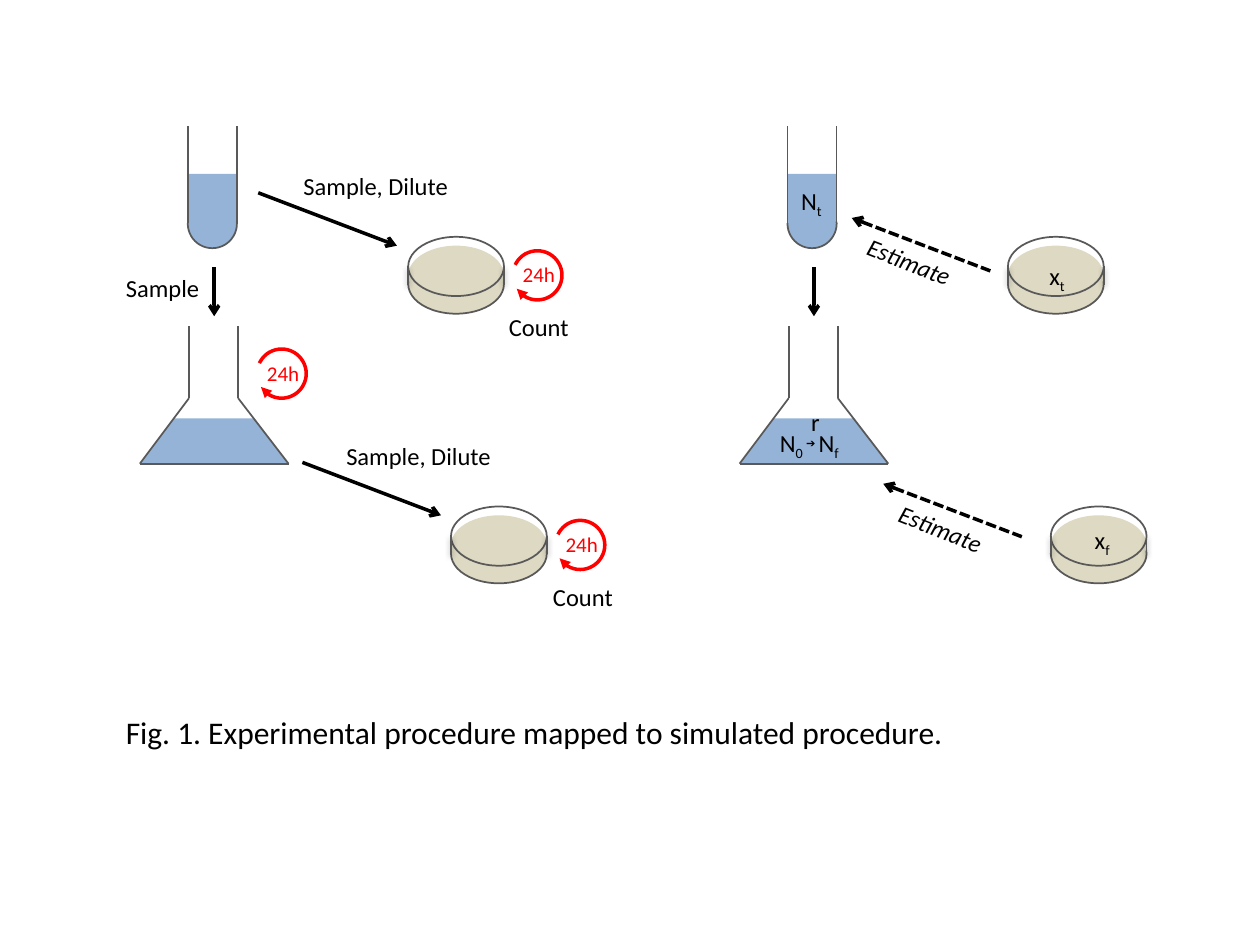
"""Draw a culture experiment beside its simulated counterpart."""
from lxml.etree import SubElement
from pptx import Presentation
from pptx.dml.color import RGBColor
from pptx.enum.dml import MSO_LINE
from pptx.enum.shapes import MSO_CONNECTOR, MSO_SHAPE
from pptx.enum.text import MSO_AUTO_SIZE
from pptx.oxml.ns import qn
from pptx.util import Inches, Pt

BLACK = RGBColor(0x00, 0x00, 0x00)
GREY = RGBColor(0x59, 0x59, 0x59)
BLUE = RGBColor(0x95, 0xB3, 0xD7)
AGAR = RGBColor(0xDD, 0xD9, 0xC3)
RED = RGBColor(0xFF, 0x00, 0x00)

deck = Presentation()
deck.slide_width, deck.slide_height = Inches(10), Inches(7.5)
COL, ROW = deck.slide_width / 10, deck.slide_height / 7.5
slide = deck.slides.add_slide(deck.slide_layouts[6])
page = slide.shapes

SHIFT = 4.76
STEP = (0.34, 2.14)
BORE = 0.39
DISH = (0.76, 0.47)


def draw(home, kind, box, fill=None, edge=None, width=1, turns=()):
    x, y, w, h = box
    shape = home.add_shape(kind, int(x * COL), int(y * ROW), int(w * COL), int(h * ROW))
    shape.shadow.inherit = False
    for part, color in ((shape.fill, fill), (shape.line.fill, edge)):
        if color is None:
            part.background()
        else:
            part.solid()
            part.fore_color.rgb = color
    if edge is not None:
        shape.line.width = Pt(width)
    for spot, turn in enumerate(turns):
        shape.adjustments[spot] = turn
    return shape


def link(home, start, end, color=GREY, width=1, tip=None, dash=None, glow=False):
    line = home.add_connector(
        MSO_CONNECTOR.STRAIGHT,
        int(start[0] * COL), int(start[1] * ROW), int(end[0] * COL), int(end[1] * ROW))
    line.line.color.rgb = color
    line.line.width = Pt(width)
    if dash:
        line.line.dash_style = dash
    if tip:
        SubElement(line.line._get_or_add_ln(), qn(tip), type="arrow")
    fx = SubElement(line._element.spPr, qn("a:effectLst"))
    if glow:
        cast = SubElement(fx, qn("a:outerShdw"), blurRad="40000", dist="20000",
                          dir="5400000", rotWithShape="0")
        tint = SubElement(cast, qn("a:srgbClr"), val="000000")
        SubElement(tint, qn("a:alpha"), val="38000")


for dx in (0, SHIFT):
    tube = page.add_group_shape().shapes
    left, right = 1.49 + dx, 1.88 + dx
    bulb = (left, 1.58, BORE, BORE)
    draw(tube, MSO_SHAPE.OVAL, bulb, BLUE)
    draw(tube, MSO_SHAPE.RECTANGLE, (left, 1.38, BORE, BORE), BLUE)
    draw(tube, MSO_SHAPE.ARC, bulb, edge=GREY, turns=(213.245, 108.688))
    for x in (left, right):
        link(tube, (x, 1.77), (x, 1))

    for step in (0, 1):
        dish = page.add_group_shape().shapes
        x, y = 3.24 + dx + step * STEP[0], 1.88 + step * STEP[1]
        draw(dish, MSO_SHAPE.OVAL, (x, y + 0.14, *DISH), AGAR, GREY)
        draw(dish, MSO_SHAPE.OVAL, (x, y + 0.07, *DISH), AGAR)
        draw(dish, MSO_SHAPE.OVAL, (x, y, *DISH), edge=GREY)
        for side in (x, x + DISH[0]):
            link(dish, (side, y + 0.23), (side, y + 0.38), glow=True)

    flask = page.add_group_shape().shapes
    draw(flask, MSO_SHAPE.TRAPEZOID, (1.11 + dx, 3.32, 1.18, 0.36), BLUE, turns=(0.751,))
    rim = [(1.5, 2.59), (1.5, 3.16), (1.11, 3.68), (2.29, 3.68), (1.89, 3.16), (1.89, 2.59)]
    for (x1, y1), (x2, y2) in zip(rim, rim[1:]):
        link(flask, (x1 + dx, y1), (x2 + dx, y2))

    link(page, (1.7 + dx, 2.12), (1.7 + dx, 2.51), BLACK, 2, "a:tailEnd")

for x, y in ((2.05, 1.53), (2.4, 3.67)):
    link(page, (x, y), (x + 1.1, y + 0.42), BLACK, 2, "a:tailEnd")
for x, y in ((6.76, 1.73), (7.01, 3.84)):
    link(page, (x, y), (x + 1.1, y + 0.42), BLACK, 2, "a:headEnd", MSO_LINE.SQUARE_DOT)

BASE = dict(size=Pt(14), name="Calibri")
SUB = dict(BASE, base=-25)
SLANT = dict(BASE, italic=True)
SMALL = dict(BASE, size=Pt(12), color=RED)
texts = [
    (page, (0.9, 2.12, 0.79, 0.34), 0, [("Sample", BASE)]),
    (page, (8.23, 2.02, 0.33, 0.34), 0, [("x", BASE), ("t", SUB)]),
    (page, (8.59, 4.12, 0.33, 0.34), 0, [("x", BASE), ("f", SUB)]),
    (page, (6.26, 1.43, 0.37, 0.34), 0, [("N", BASE), ("t", SUB)]),
    (page, (6.09, 3.35, 0.75, 0.34), 0, [
        ("N", BASE), ("0 ", SUB), ("\u2794", dict(size=Pt(11), name="Arial", base=30)),
        (" ", dict(BASE, base=30)), ("N", BASE), ("f", SUB)]),
    (page, (6.34, 3.18, 0.27, 0.34), 0, [("r", BASE)]),
    (page, (6.77, 1.92, 0.95, 0.34), 21.6, [("Estimate", SLANT)]),
    (page, (7.02, 4.04, 0.95, 0.34), 21.6, [("Estimate", SLANT)]),
    (page, (0.9, 5.61, 8.2, 0.4), 0, [
        ("Fig. 1. Experimental procedure mapped to simulated procedure.",
         dict(BASE, size=Pt(18)))]),
]
for x, y in ((2.31, 1.31), (2.65, 3.45)):
    texts.append((page, (x, y, 1.37, 0.34), 0, [("Sample, Dilute", BASE)]))
for x, y in ((3.94, 2.43), (4.29, 4.57)):
    texts.append((page, (x, y, 0.68, 0.34), 0, [("Count", BASE)]))
for x, y in ((4.07, 1.99), (4.41, 4.13), (2.04, 2.77)):
    clock = page.add_group_shape().shapes
    ring = draw(clock, MSO_SHAPE.ARC, (x, y, BORE, BORE), edge=RED, width=2,
                turns=(123.151, 88.257))
    SubElement(ring.line._get_or_add_ln(), qn("a:tailEnd"), type="triangle")
    texts.append((clock, (x - 0.02, y + 0.04, 0.46, 0.3), 0, [("24h", SMALL)]))

for home, (x, y, w, h), angle, runs in texts:
    box = home.add_textbox(int(x * COL), int(y * ROW), int(w * COL), int(h * ROW))
    box.rotation = angle
    frame = box.text_frame
    frame.word_wrap = w > 8
    frame.auto_size = MSO_AUTO_SIZE.SHAPE_TO_FIT_TEXT
    for words, style in runs:
        run = frame.paragraphs[0].add_run()
        run.text = words
        run.font.color.rgb = style.get("color", BLACK)
        for key, value in style.items():
            if key == "base":
                run._r.get_or_add_rPr().set("baseline", str(value * 1000))
            elif key != "color":
                setattr(run.font, key, value)

deck.save("out.pptx")
